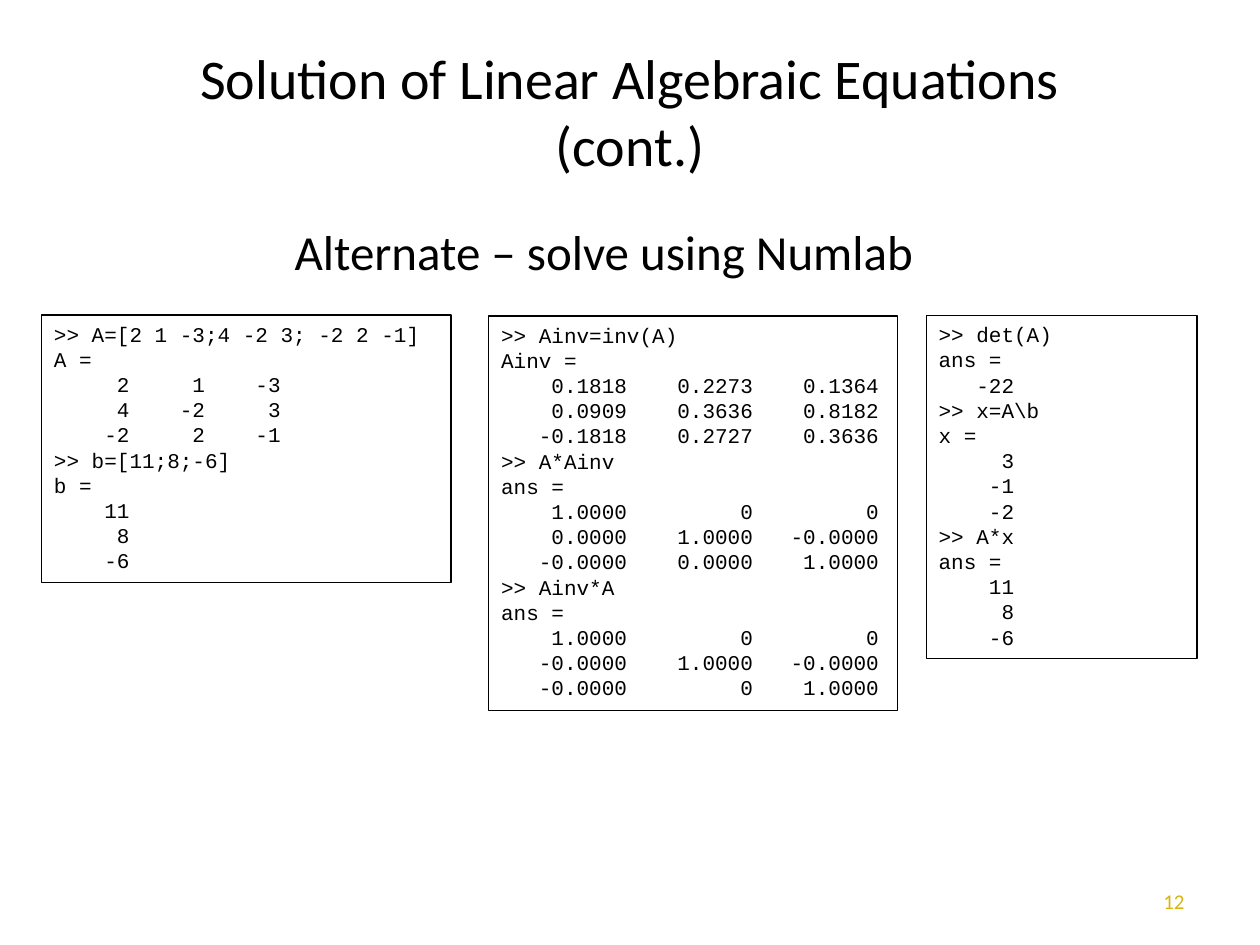
from dataclasses import dataclass

from pptx import Presentation
from pptx.dml.color import RGBColor
from pptx.enum.text import MSO_ANCHOR, MSO_AUTO_SIZE, PP_ALIGN
from pptx.util import Pt

LEFT, CENTER, RIGHT = PP_ALIGN.LEFT, PP_ALIGN.CENTER, PP_ALIGN.RIGHT
MIDDLE = MSO_ANCHOR.MIDDLE
GROW = MSO_AUTO_SIZE.SHAPE_TO_FIT_TEXT


@dataclass(frozen=True)
class Theme:
    ink: RGBColor = RGBColor(0x00, 0x00, 0x00)
    gold: RGBColor = RGBColor(0xD8, 0xB5, 0x11)
    body_font: str = "Calibri"
    code_font: str = "Courier New"
    title_size: int = 32
    heading_size: int = 28
    small_size: int = 12
    border: float = 0.75


theme = Theme()


def place(shape, left, top, width, height):
    shape.left, shape.top = Pt(left), Pt(top)
    shape.width, shape.height = Pt(width), Pt(height)


def write(shape, text, font, size, color, align):
    frame = shape.text_frame
    frame.word_wrap = True
    frame.text = text
    for paragraph in frame.paragraphs:
        paragraph.alignment = align
        for run in paragraph.runs:
            run.font.name = font
            run.font.size = Pt(size)
            run.font.color.rgb = color


prs = Presentation()
prs.slide_width, prs.slide_height = Pt(720), Pt(540)
slide = prs.slides.add_slide(prs.slide_layouts[5])

title = slide.shapes.title
place(title, 36, 18, 648, 90)
write(title, "Solution of Linear Algebraic Equations\v(cont.)",
      theme.body_font, theme.title_size, theme.ink, CENTER)
title.text_frame.vertical_anchor = MIDDLE

heading = slide.shapes.add_textbox(Pt(96), Pt(123), Pt(498), Pt(41))
write(heading, "Alternate – solve using Numlab",
      theme.body_font, theme.heading_size, theme.ink, CENTER)
heading.text_frame.auto_size = GROW

define_system = """\
>> A=[2 1 -3;4 -2 3; -2 2 -1]
A =
     2     1    -3
     4    -2     3
    -2     2    -1
>> b=[11;8;-6]
b =
    11
     8
    -6"""

check_inverse = """\
>> Ainv=inv(A)
Ainv =
    0.1818    0.2273    0.1364
    0.0909    0.3636    0.8182
   -0.1818    0.2727    0.3636
>> A*Ainv
ans =
    1.0000         0         0
    0.0000    1.0000   -0.0000
   -0.0000    0.0000    1.0000
>> Ainv*A
ans =
    1.0000         0         0
   -0.0000    1.0000   -0.0000
   -0.0000         0    1.0000"""

solve_system = """\
>> det(A)
ans =
   -22
>> x=A\\b
x =
     3
    -1
    -2
>> A*x
ans =
    11
     8
    -6"""

sessions = [
    (define_system, 23.75, 180, 234, 152.75),
    (check_inverse, 279.25, 180.5, 233.5, 225.5),
    (solve_system, 529.25, 180.25, 154.75, 196.25),
]
for code, left, top, width, height in sessions:
    session = slide.shapes.add_textbox(Pt(left), Pt(top), Pt(width), Pt(height))
    write(session, code, theme.code_font, theme.small_size, theme.ink, LEFT)
    session.text_frame.auto_size = GROW
    session.line.color.rgb = theme.ink
    session.line.width = Pt(theme.border)

page_number = slide.shapes.add_textbox(Pt(516), Pt(500.5), Pt(168), Pt(28.75))
write(page_number, "12", theme.body_font, theme.small_size, theme.gold, RIGHT)
page_number.text_frame.vertical_anchor = MIDDLE

prs.save("out.pptx")
